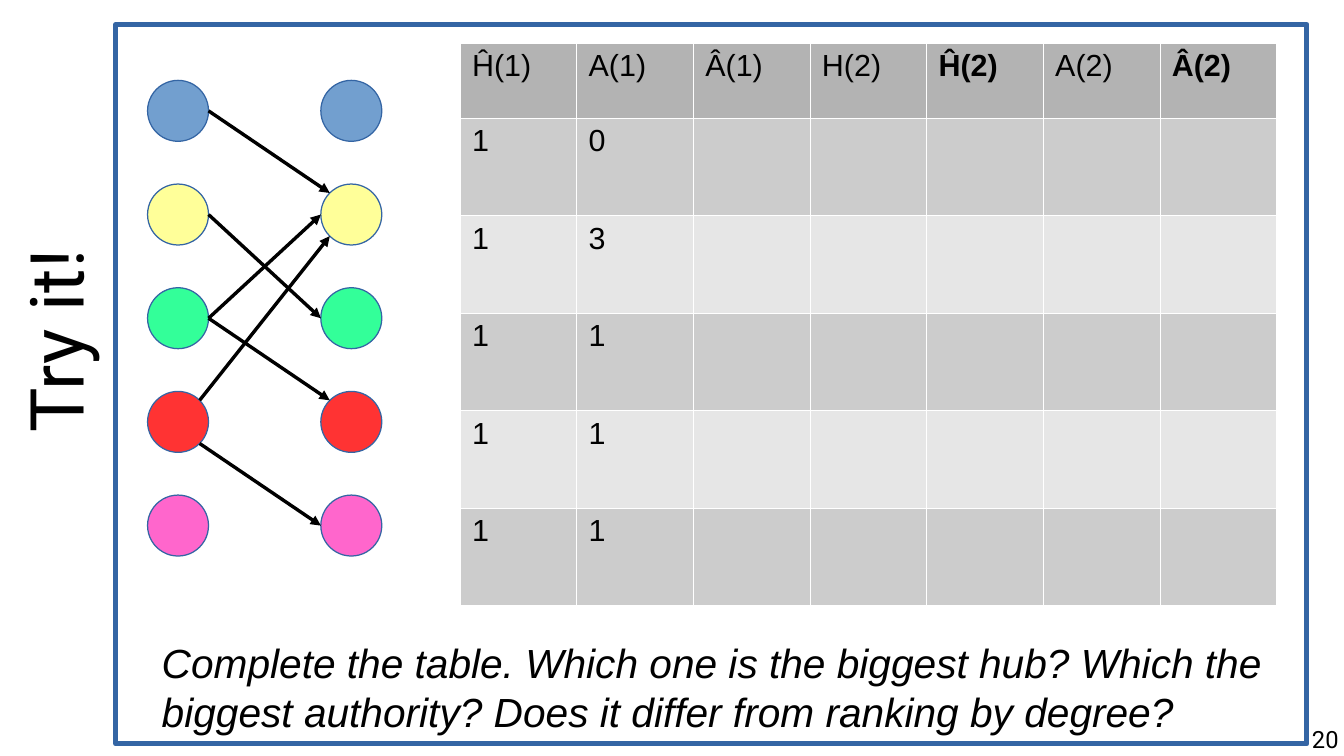
import math
from dataclasses import dataclass

import lxml.etree
import pptx
import pptx.dml.color
import pptx.enum.shapes
import pptx.enum.text
import pptx.oxml.ns
import pptx.util

Cm = pptx.util.Cm
Pt = pptx.util.Pt
qn = pptx.oxml.ns.qn
Align = pptx.enum.text.PP_ALIGN
Anchor = pptx.enum.text.MSO_ANCHOR


@dataclass
class Theme:
    ink: str = "000000"
    outline: str = "3465A4"
    border: str = "FFFFFF"
    header: str = "B3B3B3"
    bands: tuple = ("CCCCCC", "E6E6E6")
    nodes: tuple = ("729FCF", "FFFF99", "33FF99", "FF3333", "FF66CC")
    heading_font: str = "Roboto"
    body_font: str = "Arial"
    title_size: int = 44
    question_size: int = 24
    table_size: int = 18
    number_size: int = 14


theme = Theme()


def rgb(value):
    return pptx.dml.color.RGBColor.from_string(value)


def write(frame, text, font, size, margins, align=Align.LEFT, anchor=Anchor.TOP):
    """Fill a text frame with one paragraph; margins are left, top, right, bottom in cm."""
    frame.word_wrap = True
    frame.vertical_anchor = anchor
    frame.margin_left, frame.margin_top, frame.margin_right, frame.margin_bottom = map(Cm, margins)
    para = frame.paragraphs[0]
    para.text = text
    para.alignment = align
    para.font.name = font
    para.font.size = Pt(size)
    para.font.color.rgb = rgb(theme.ink)
    return para


deck = pptx.Presentation()
deck.slide_width, deck.slide_height = Cm(28), Cm(15.75)
page = deck.slides.add_slide(deck.slide_layouts[6])
shapes = page.shapes

# Sideways title
title = shapes.add_textbox(Cm(-3.45), Cm(6.05), Cm(9.14), Cm(2.11))
title.rotation = 270
write(title.text_frame, "Try it!", theme.heading_font, theme.title_size,
      (0, 0, 0, 0), Align.CENTER, Anchor.MIDDLE)

# Hubs on the left, authorities on the right
radius = 0.635
hub_x, authority_x = 3.71, 7.32
node_y = [2.31 + 2.16 * index for index in range(len(theme.nodes))]
for center_x in (hub_x, authority_x):
    for center_y, color in zip(node_y, theme.nodes):
        node = shapes.add_shape(pptx.enum.shapes.MSO_SHAPE.OVAL, Cm(center_x - radius),
                                Cm(center_y - radius), Cm(2 * radius), Cm(2 * radius))
        node.shadow.inherit = False
        node.fill.solid()
        node.fill.fore_color.rgb = rgb(color)
        node.line.color.rgb = rgb(theme.outline)
        node.line.width = Pt(0)

# Links: hub, angle on its rim, authority, angle on its rim (degrees, clockwise from the right)
links = [
    (0, 0, 1, 225),
    (2, 0, 1, 180),
    (2, 0, 3, 225),
    (3, 45, 4, 180),
    (1, 0, 2, 180),
    (3, -45, 1, 135),
]
for hub, hub_angle, authority, authority_angle in links:
    ends = []
    for center_x, row, angle in ((hub_x, hub, hub_angle), (authority_x, authority, authority_angle)):
        turn = math.radians(angle)
        ends += [Cm(center_x + radius * math.cos(turn)), Cm(node_y[row] + radius * math.sin(turn))]
    arrow = shapes.add_connector(pptx.enum.shapes.MSO_CONNECTOR.STRAIGHT, *ends)
    arrow.line.color.rgb = rgb(theme.ink)
    arrow.line.width = Pt(0)
    lxml.etree.SubElement(arrow.line._get_or_add_ln(), qn("a:tailEnd"), type="triangle")
    lxml.etree.SubElement(arrow._element.spPr, qn("a:effectLst"))

# Score table
headings = ["Ĥ(1)", "A(1)", "Â(1)", "H(2)", "Ĥ(2)", "A(2)", "Â(2)"]
bold_headings = {"Ĥ(2)", "Â(2)"}
scores = [["1", "0"], ["1", "3"], ["1", "1"], ["1", "1"], ["1", "1"]]
row_heights = [1.57] + [2.03] * len(scores)
column_width = 2.43
table = shapes.add_table(len(row_heights), len(headings), Cm(9.58), Cm(0.89),
                         Cm(column_width * len(headings)), Cm(sum(row_heights))).table
table.first_row = False
table.horz_banding = False
for column in table.columns:
    column.width = Cm(column_width)
for row_index, values in enumerate([headings] + scores):
    table.rows[row_index].height = Cm(row_heights[row_index])
    for column_index in range(len(headings)):
        cell = table.cell(row_index, column_index)
        text = values[column_index] if column_index < len(values) else ""
        para = write(cell.text_frame, text, theme.body_font, theme.table_size,
                     (0.25, 0.13, 0.25, 0.13))
        para.font.bold = text in bold_headings
        properties = cell._tc.get_or_add_tcPr()
        for side in ("a:lnL", "a:lnR", "a:lnT", "a:lnB"):
            edge = lxml.etree.SubElement(properties, qn(side), w=str(Pt(0.06)))
            paint = lxml.etree.SubElement(edge, qn("a:solidFill"))
            lxml.etree.SubElement(paint, qn("a:srgbClr"), val=theme.border)
        cell.fill.solid()
        cell.fill.fore_color.rgb = rgb(theme.bands[(row_index - 1) % 2] if row_index else theme.header)

# Frame with the question at its foot
panel = shapes.add_shape(pptx.enum.shapes.MSO_SHAPE.RECTANGLE,
                         Cm(2.41), Cm(0.51), Cm(24.82), Cm(14.99))
panel.shadow.inherit = False
panel.fill.background()
panel.line.color.rgb = rgb(theme.outline)
panel.line.width = Pt(2.89)
question = write(panel.text_frame,
                 "Complete the table. Which one is the biggest hub? Which the biggest authority? "
                 "Does it differ from ranking by degree?",
                 theme.body_font, theme.question_size, (0.96, 0.18, 0.31, 0.18), anchor=Anchor.BOTTOM)
question.font.italic = True

number = shapes.add_textbox(Cm(21.36), Cm(15.11), Cm(6.53), Cm(0.64))
write(number.text_frame, "20", theme.heading_font, theme.number_size, (0, 0, 0, 0), Align.RIGHT)

deck.save("out.pptx")
